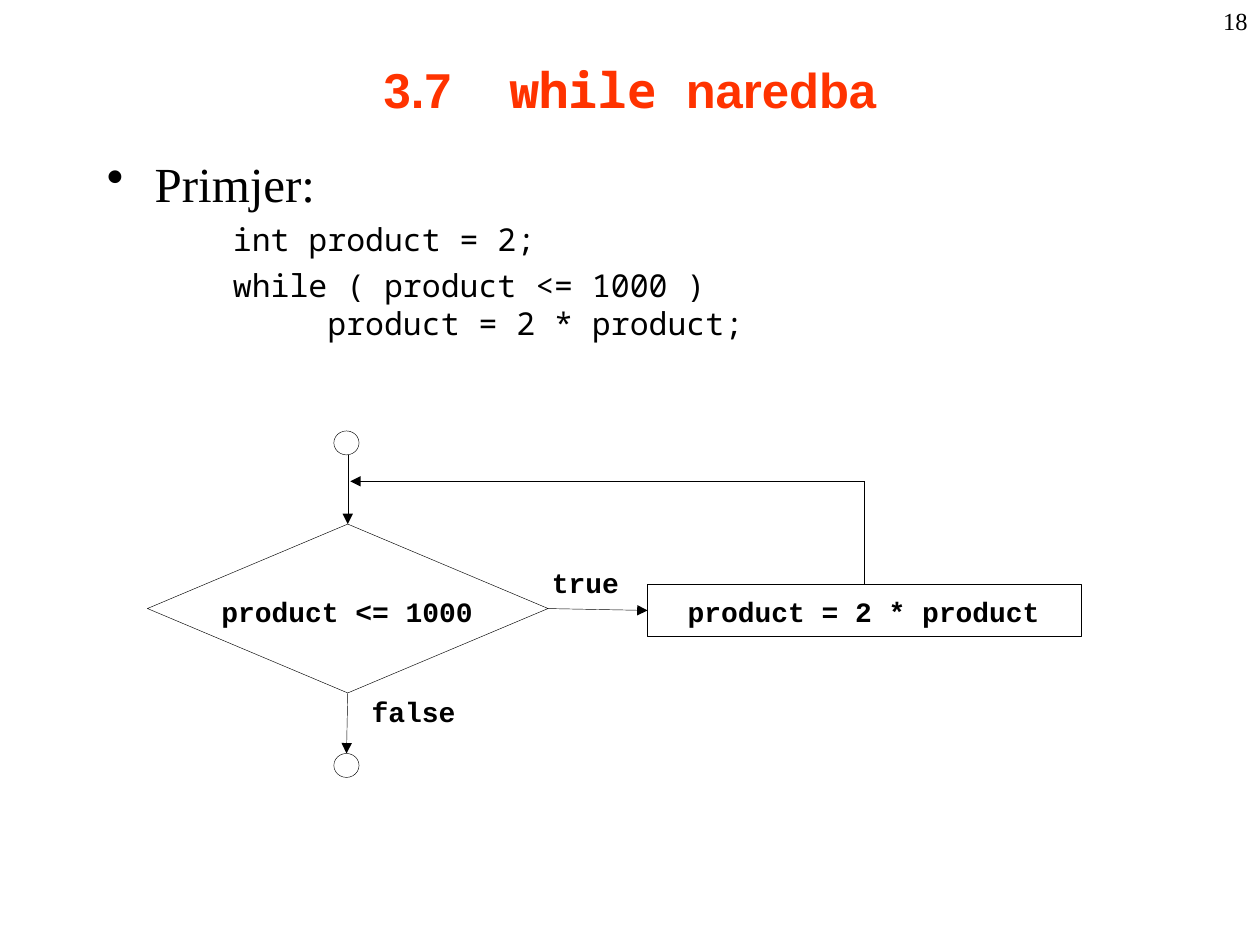
from lxml.etree import SubElement
from pptx import Presentation
from pptx.dml.color import RGBColor
from pptx.enum.shapes import MSO_CONNECTOR, MSO_SHAPE
from pptx.enum.text import MSO_ANCHOR, PP_ALIGN
from pptx.oxml.ns import qn
from pptx.util import Inches, Pt

BLACK = RGBColor(0, 0, 0)
WHITE = RGBColor(255, 255, 255)
ORANGE = RGBColor(0xFF, 0x33, 0x00)

MONO = "Noto Sans Mono"
TITLE = {"size": Pt(28), "name": "Arial", "bold": True}
BULLET = {"size": Pt(28), "name": "Times New Roman"}
CODE = {"size": Pt(18), "name": MONO}
LABEL = {"size": Pt(16), "name": "Courier New", "bold": True}
NUMBER = {"size": Pt(14), "name": "Times New Roman"}

HEADING = [("3.7\t", "Arial"), ("while ", MONO), ("naredba", "Arial")]
EXAMPLE = "Primjer:"
CODE_LINES = ["int product = 2;", "while ( product <= 1000 )\v\tproduct = 2 * product;"]
PAGE = "18"
TITLE_TABS = range(8)
BULLET_TABS = range(1, 9)
CODE_TABS = [0, *range(2, 9)]

# left, top, width, height in inches
CONDITION = (1.17, 4.16, 3.18, 1.34)
STATEMENT = (5.14, 4.64, 3.44, 0.41)
START = (2.65, 3.42, 0.2, 0.19)
END = (2.65, 5.98, 0.2, 0.19)
LABELS = [
    ("product <= 1000", (1.55, 4.72, 2.41, 0.29), PP_ALIGN.CENTER),
    ("product = 2 * product", (5.2, 4.72, 3.31, 0.31), PP_ALIGN.CENTER),
    ("true", (4.38, 4.49, 0.7, 0.37), PP_ALIGN.LEFT),
    ("false", (2.95, 5.51, 0.86, 0.37), PP_ALIGN.LEFT),
]

presentation = Presentation()
presentation.slide_width, presentation.slide_height = Inches(10), Inches(7.5)
slide = presentation.slides.add_slide(presentation.slide_layouts[6])


def inches(values):
    return [Inches(value) for value in values]


def style(run, font, color=BLACK):
    for key, value in font.items():
        setattr(run.font, key, value)
    run.font.color.rgb = color


def text_frame(box, margins=(0.1, 0.05)):
    frame = slide.shapes.add_textbox(*inches(box)).text_frame
    frame.word_wrap = True
    frame.margin_left = frame.margin_right = Inches(margins[0])
    frame.margin_top = frame.margin_bottom = Inches(margins[1])
    return frame


def write(paragraph, text, font, align=PP_ALIGN.LEFT):
    paragraph.text = text
    paragraph.alignment = align
    for run in paragraph.runs:
        style(run, font)


def set_layout(paragraph, tabs, margin=0, indent=0, bullet=None):
    """Set the indents, bullet and left tab stops of a paragraph."""
    properties = paragraph._p.get_or_add_pPr()
    properties.set("marL", str(Inches(margin)))
    properties.set("indent", str(Inches(indent)))
    if bullet:
        SubElement(properties, qn("a:buChar"), char=bullet)
    else:
        SubElement(properties, qn("a:buNone"))
    stops = SubElement(properties, qn("a:tabLst"))
    for tab in tabs:
        SubElement(stops, qn("a:tab"), pos=str(Inches(tab)), algn="l")


def add_node(kind, box, filled=False):
    node = slide.shapes.add_shape(kind, *inches(box))
    node.shadow.inherit = False
    if filled:
        node.fill.solid()
        node.fill.fore_color.rgb = WHITE
    else:
        node.fill.background()
    node.line.color.rgb = BLACK
    node.line.width = Pt(0.25)
    return node


def add_flow(start, end, source=None, target=None, arrow=True):
    """Draw a line between points; source and target are (node, side) joins."""
    flow = slide.shapes.add_connector(MSO_CONNECTOR.STRAIGHT, *inches(start + end))
    flow.line.color.rgb = BLACK
    flow.line.width = Pt(0.25)
    if source:
        flow.begin_connect(*source)
    if target:
        flow.end_connect(*target)
    if arrow:
        SubElement(flow.line._get_or_add_ln(), qn("a:tailEnd"), type="triangle")
    SubElement(flow._element.spPr, qn("a:effectLst"))


# Title
title = text_frame((0.75, 0.08, 8.5, 1.25))
title.vertical_anchor = MSO_ANCHOR.MIDDLE
heading = title.paragraphs[0]
heading.alignment = PP_ALIGN.CENTER
set_layout(heading, TITLE_TABS)
for words, typeface in HEADING:
    part = heading.add_run()
    part.text = words
    style(part, TITLE | {"name": typeface}, ORANGE)

# Example code
body = text_frame((0.75, 1.17, 8.5, 5.92))
example = body.paragraphs[0]
write(example, EXAMPLE, BULLET)
example.space_before = Pt(7)
set_layout(example, BULLET_TABS, 0.38, -0.38, "•")
for line in CODE_LINES:
    code = body.add_paragraph()
    write(code, line, CODE)
    code.level = 2
    code.space_before = Pt(4.5)
    set_layout(code, CODE_TABS, 1.25, -0.25)

# Flowchart
condition = add_node(MSO_SHAPE.DIAMOND, CONDITION, filled=True)
add_node(MSO_SHAPE.OVAL, START)
end = add_node(MSO_SHAPE.OVAL, END)
statement = add_node(MSO_SHAPE.RECTANGLE, STATEMENT)

axis = CONDITION[0] + CONDITION[2] / 2
middle = STATEMENT[1] + STATEMENT[3] / 2
loop_x = STATEMENT[0] + STATEMENT[2] / 2
loop_y = 3.82
add_flow((axis, START[1] + START[3]), (axis, CONDITION[1]), target=(condition, 0))
add_flow((axis, CONDITION[1] + CONDITION[3]), (axis, END[1]), (condition, 2), (end, 0))
add_flow((CONDITION[0] + CONDITION[2], middle), (STATEMENT[0], middle),
         (condition, 3), (statement, 1))
add_flow((loop_x, STATEMENT[1]), (loop_x, loop_y), (statement, 0), arrow=False)
add_flow((loop_x, loop_y), (2.78, loop_y))

for words, box, align in LABELS:
    write(text_frame(box, (0, 0)).paragraphs[0], words, LABEL, align)

write(text_frame((7.92, 0, 2.08, 0.5)).paragraphs[0], PAGE, NUMBER, PP_ALIGN.RIGHT)

presentation.save("out.pptx")
